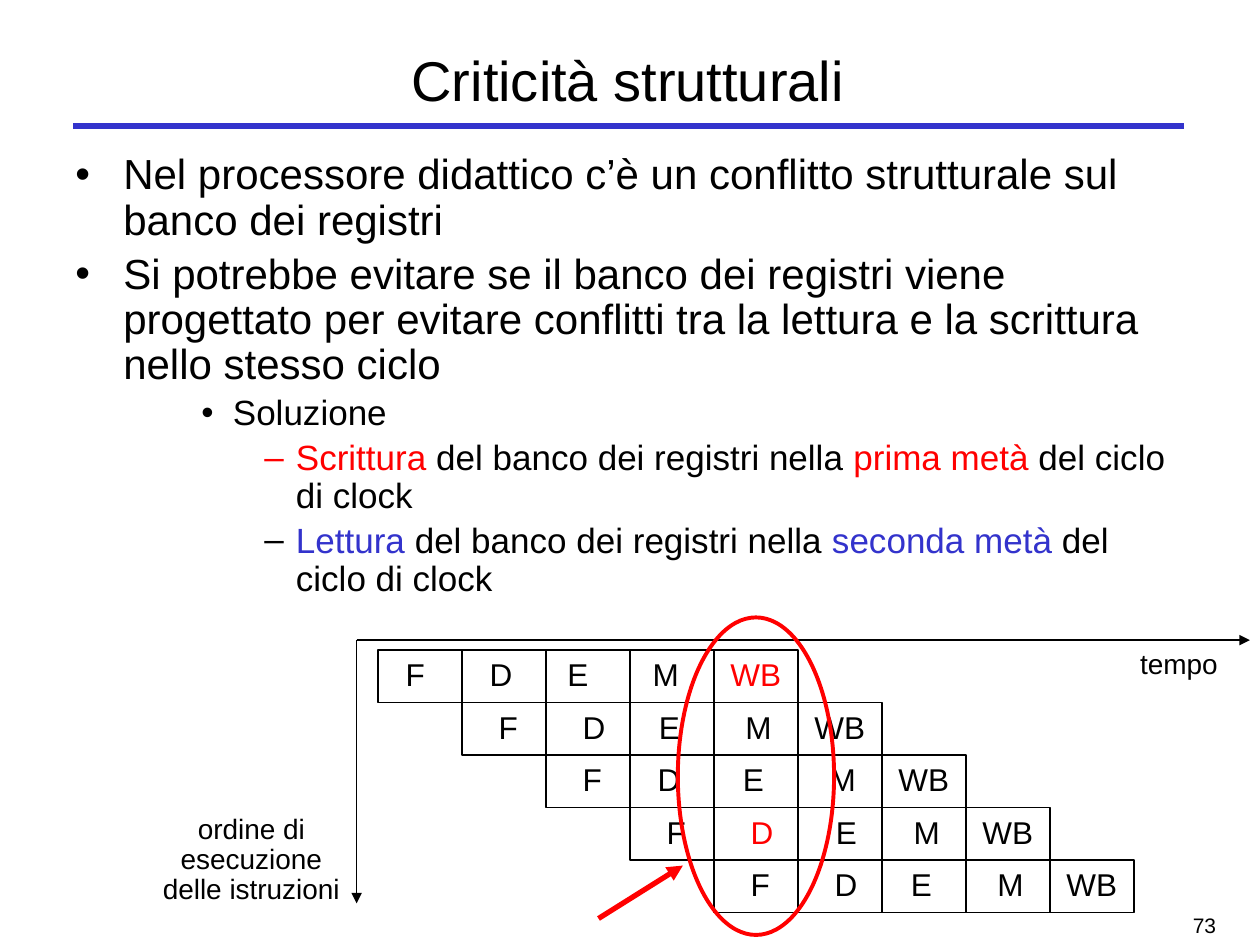
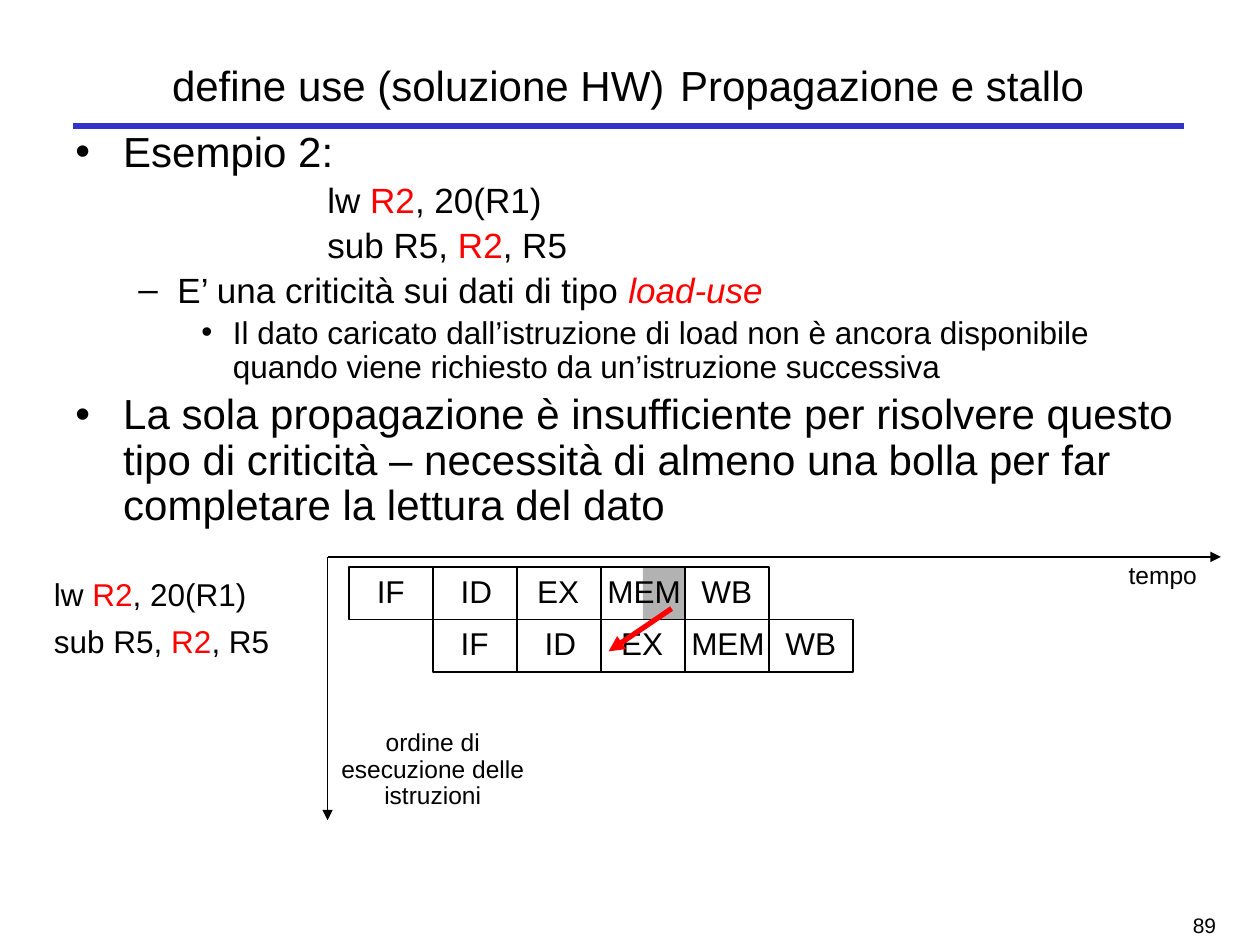
from lxml import etree
from pptx import Presentation
from pptx.dml.color import RGBColor
from pptx.enum.shapes import MSO_CONNECTOR, MSO_SHAPE
from pptx.enum.text import MSO_ANCHOR, MSO_AUTO_SIZE, PP_ALIGN
from pptx.oxml.ns import qn
from pptx.util import Inches, Pt

LEFT, CENTER, RIGHT = PP_ALIGN.LEFT, PP_ALIGN.CENTER, PP_ALIGN.RIGHT
MIDDLE = MSO_ANCHOR.MIDDLE
NO_AUTOFIT = MSO_AUTO_SIZE.NONE
STRAIGHT = MSO_CONNECTOR.STRAIGHT
RECTANGLE, OVAL = MSO_SHAPE.RECTANGLE, MSO_SHAPE.OVAL

FONT = "Arial"
COLORS = {"black": "000000", "blue": "3333CC", "red": "FF0000", "gray": "B2B2B2"}
CELL_WIDTH, CELL_HEIGHT = 2 / 3, 5 / 12
AXIS_GAP_X, AXIS_GAP_Y = 0.17, 0.08  # from the axes to the first cell
ORDER_LABEL = "ordine di esecuzione delle istruzioni"

# Outline style: text indent, hanging indent, bullet
OUTLINE = {
    "point": (0.38, 0.38, "•"),
    "dash": (0.81, 0.31, "–"),
    "detail": (1.25, 0.25, "•"),
    "subdash": (1.75, 0.25, "–"),
    "code": (2.25, 0.25, None),
}

LOAD = [("lw ",), ("R2", "red"), (", 20(R1)",)]
SUBTRACT = [("sub R5, ",), ("R2", "red"), (", R5",)]

# Spans are (text, colour, italic); outline rows are (style, size, bullet colour, spans);
# labels are (left, top, width, height, size, alignment, spans).
SLIDES = [
    {
        "number": "73",
        "title": [(32, "Criticità strutturali")],
        "outline_at": (0.5, 1.17, 8.99, 3.92),
        "outline": [
            ("point", 24, "black", [("Nel processore didattico c’è un conflitto strutturale sul "
                                     "banco dei registri",)]),
            ("point", 24, "black", [("Si potrebbe evitare se il banco dei registri viene "
                                     "progettato per evitare conflitti tra la lettura e la "
                                     "scrittura nello stesso ciclo",)]),
            ("detail", 20, "black", [("Soluzione",)]),
            ("subdash", 20, "red", [("Scrittura", "red"), (" del banco dei registri nella ",),
                                    ("prima metà", "red"), (" del ciclo di clock",)]),
            ("subdash", 20, "black", [("Lettura", "blue"), (" del banco dei registri nella ",),
                                      ("seconda metà", "blue"), (" del ciclo di clock",)]),
        ],
        "axes_at": (2.83, 5.08),
        "stages": ["F", "D", "E", "M", "WB"],
        "insets": [  # one row per instruction
            (0.22, 0.22, 0.17, 0.18, 0.13),
            (0.29, 0.29, 0.23, 0.25, 0.13),
            (0.29, 0.22, 0.23, 0.25, 0.13),
            (0.29, 0.29, 0.30, 0.25, 0.13),
            (0.29, 0.29, 0.23, 0.25, 0.13),
        ],
        "red_cells": [(0, 4), (3, 1)],
        "shaded_cells": [],
        "labels": [
            (8.95, 5.11, 1, 0.34, 16, LEFT, [("tempo",)]),
            (1.08, 6.42, 1.83, 0.82, 16, CENTER, [(ORDER_LABEL,)]),
        ],
        "red_arrow": (4.75, 7.29, 5.42, 6.87),
    },
    {
        "number": "89",
        "title": [(24, "define use (soluzione HW)"), (32, " "), (24, "Propagazione e stallo")],
        "outline_at": (0.5, 0.99, 9, 2.83),
        "outline": [
            ("point", 24, "black", [("Esempio 2:",)]),
            ("code", 20, "black", LOAD),
            ("code", 20, "black", SUBTRACT),
            ("dash", 20, "black", [("E’ una criticità sui dati di tipo ",),
                                   ("load-use", "red", True)]),
            ("detail", 18, "black", [("Il dato caricato dall’istruzione di load non è ancora "
                                      "disponibile quando viene richiesto da un’istruzione "
                                      "successiva",)]),
            ("point", 24, "black", [("La sola propagazione è insufficiente per risolvere questo "
                                     "tipo di criticità – necessità di almeno una bolla per far "
                                     "completare la lettura del dato",)]),
        ],
        "axes_at": (2.6, 4.42),
        "stages": ["IF", "ID", "EX", "MEM", "WB"],
        "insets": [(0.22, 0.22, 0.16, 0.05, 0.13)] * 2,
        "red_cells": [],
        "shaded_cells": [(0, 3)],
        "labels": [
            (0.33, 4.55, 1.74, 0.37, 18, LEFT, LOAD),
            (0.33, 4.92, 1.93, 0.37, 18, LEFT, SUBTRACT),
            (8.86, 4.42, 1, 0.31, 14, LEFT, [("tempo",)]),
            (2.52, 5.75, 1.83, 0.73, 14, CENTER, [(ORDER_LABEL,)]),
        ],
        "red_arrow": (5.33, 4.83, 4.83, 5.17),
    },
]


def add_span(para, size, text, color="black", italic=False):
    span = para.add_run()
    span.text = text
    span.font.name = FONT
    span.font.size = Pt(size)
    span.font.italic = italic
    span.font.color.rgb = RGBColor.from_string(COLORS[color])


def add_line(page, ends, color, width, arrow=True):
    """Draw a straight line; ends is (x1, y1, x2, y2) in inches."""
    line = page.shapes.add_connector(STRAIGHT, *[Inches(end) for end in ends])
    line.line.width = Pt(width)
    line.line.color.rgb = RGBColor.from_string(COLORS[color])
    properties = line._element.spPr
    if arrow:
        etree.SubElement(properties.find(qn("a:ln")), qn("a:tailEnd"), type="triangle")
    etree.SubElement(properties, qn("a:effectLst"))


deck = Presentation()
deck.slide_width, deck.slide_height = Inches(10), Inches(7.5)

for content in SLIDES:
    page = deck.slides.add_slide(deck.slide_layouts[5])

    # Title, rule and page number
    title = page.shapes.title
    title.left, title.top = Inches(0.61), Inches(0.25)
    title.width, title.height = Inches(8.75), Inches(0.75)
    title.text_frame.auto_size = NO_AUTOFIT
    title.text_frame.vertical_anchor = MIDDLE
    para = title.text_frame.paragraphs[0]
    para.alignment = CENTER
    for size, text in content["title"]:
        add_span(para, size, text)
    add_line(page, (0.58, 1, 9.4, 1), "blue", 3.75, arrow=False)
    number = page.shapes.add_textbox(Inches(7.67), Inches(7.19), Inches(2.08), Inches(0.31))
    para = number.text_frame.paragraphs[0]
    number.text_frame.word_wrap = True
    para.alignment = RIGHT
    add_span(para, 12, content["number"])

    # Outline
    box = page.shapes.add_textbox(*[Inches(length) for length in content["outline_at"]])
    box.text_frame.word_wrap = True
    for index, (style, size, bullet_color, spans) in enumerate(content["outline"]):
        para = box.text_frame.add_paragraph() if index else box.text_frame.paragraphs[0]
        indent, hanging, bullet = OUTLINE[style]
        properties = para._p.get_or_add_pPr()
        properties.set("marL", str(Inches(indent)))
        properties.set("indent", str(-Inches(hanging)))
        if bullet:
            fill = etree.SubElement(properties, qn("a:buClr"))
            etree.SubElement(fill, qn("a:srgbClr"), val=COLORS[bullet_color])
            etree.SubElement(properties, qn("a:buFont"), typeface=FONT)
            etree.SubElement(properties, qn("a:buChar"), char=bullet)
        para.line_spacing = 0.9
        if index:
            para.space_before = Pt(size * 0.2)
        for span in spans:
            add_span(para, size, *span)

    # Pipeline: each instruction starts one cell further right
    axis_x, axis_y = content["axes_at"]
    for row, insets in enumerate(content["insets"]):
        for column, (stage, inset) in enumerate(zip(content["stages"], insets)):
            left = axis_x + AXIS_GAP_X + (row + column) * CELL_WIDTH
            top = axis_y + AXIS_GAP_Y + row * CELL_HEIGHT
            if (row, column) in content["shaded_cells"]:
                half = page.shapes.add_shape(
                    RECTANGLE, Inches(left + CELL_WIDTH / 2), Inches(top),
                    Inches(CELL_WIDTH / 2), Inches(CELL_HEIGHT))
                half.shadow.inherit = False
                half.fill.solid()
                half.fill.fore_color.rgb = RGBColor.from_string(COLORS["gray"])
                half.line.fill.background()
            cell = page.shapes.add_shape(RECTANGLE, Inches(left), Inches(top),
                                         Inches(CELL_WIDTH), Inches(CELL_HEIGHT))
            cell.shadow.inherit = False
            cell.fill.background()
            cell.line.width = Pt(0.75)
            cell.line.color.rgb = RGBColor.from_string(COLORS["black"])
            frame = cell.text_frame
            frame.margin_left, frame.margin_right = Inches(inset), 0
            frame.vertical_anchor = MIDDLE
            para = frame.paragraphs[0]
            para.alignment = LEFT
            para.line_spacing = 0.9
            add_span(para, 18, stage, "red" if (row, column) in content["red_cells"] else "black")

    # Axes and labels
    add_line(page, (axis_x, axis_y, axis_x + 7.09, axis_y), "black", 0.75)
    add_line(page, (axis_x, axis_y, axis_x, axis_y + 2.09), "black", 0.75)
    for left, top, width, height, size, alignment, spans in content["labels"]:
        label = page.shapes.add_textbox(Inches(left), Inches(top), Inches(width), Inches(height))
        label.text_frame.word_wrap = True
        para = label.text_frame.paragraphs[0]
        para.alignment = alignment
        para.line_spacing = 0.9
        for span in spans:
            add_span(para, size, *span)
    add_line(page, content["red_arrow"], "red", 3)

# Ring around the cycle in which WB and D meet
ring = deck.slides[0].shapes.add_shape(OVAL, Inches(5.38), Inches(4.9), Inches(1.24), Inches(2.52))
ring.shadow.inherit = False
ring.fill.background()
ring.line.width = Pt(2.25)
ring.line.color.rgb = RGBColor.from_string(COLORS["red"])

deck.save("out.pptx")
